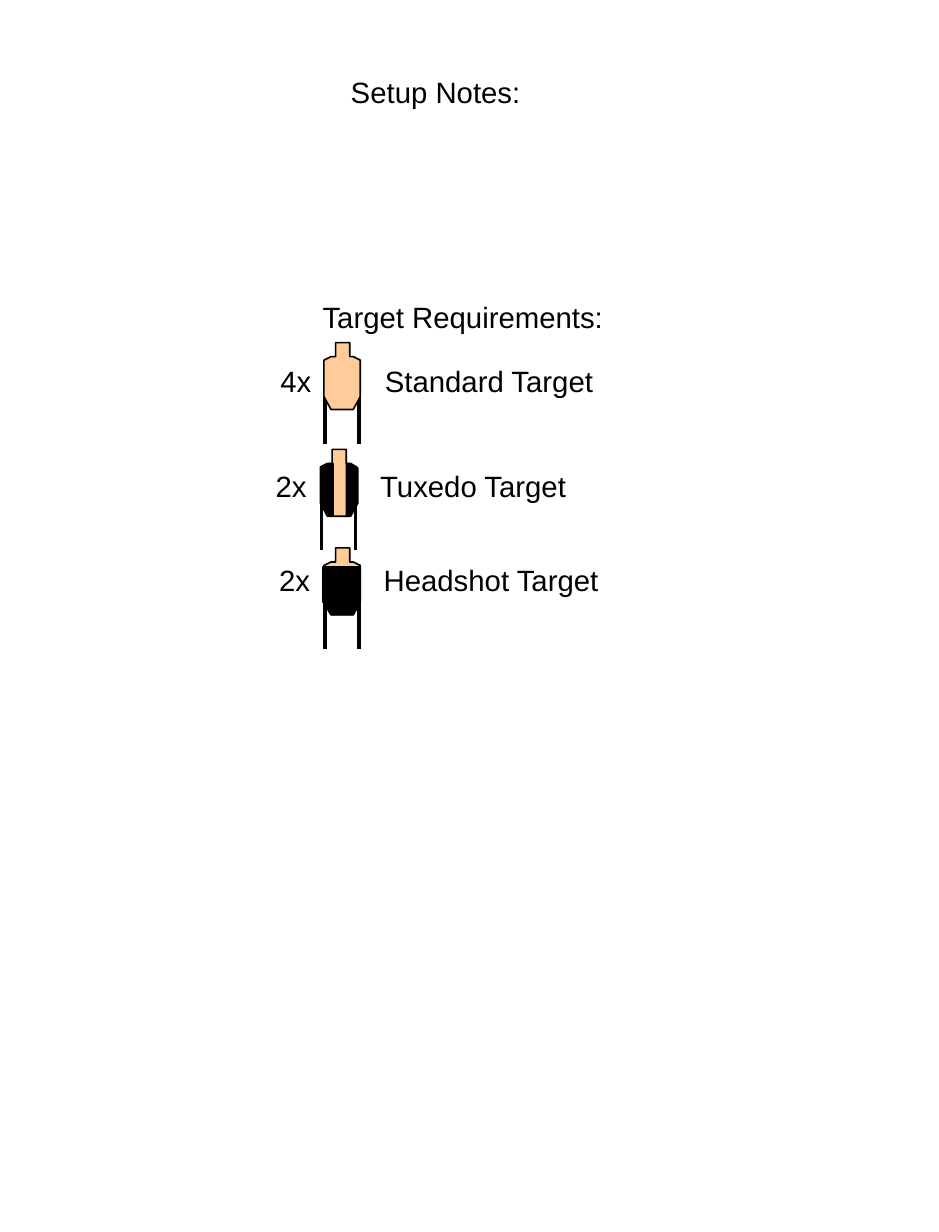
from dataclasses import dataclass

from lxml import etree
from pptx import Presentation
from pptx.dml.color import RGBColor
from pptx.enum.shapes import MSO_CONNECTOR
from pptx.oxml.ns import qn
from pptx.shapes.group import GroupShape
from pptx.slide import Slide
from pptx.util import Inches, Pt

STRAIGHT = MSO_CONNECTOR.STRAIGHT
BLANK_LAYOUT = 6
COLORS = {"ink": "000000", "cardboard": "FFCC99"}
TEXT_FORMAT = {"name": "Arial", "size": Pt(18)}
LABEL_TAB = 0.89

Points = tuple[tuple[float, float], ...]

# Outlines in inches from the top left of a target
SILHOUETTE: Points = (
    (0.1, 0), (0.22, 0), (0.22, 0.12), (0.25, 0.12), (0.31, 0.15), (0.31, 0.46),
    (0.25, 0.57), (0.06, 0.57), (0, 0.46), (0, 0.15), (0.06, 0.12), (0.1, 0.12),
)
BODY_COVER: Points = (
    (-0.01, 0.16), (0.31, 0.16), (0.31, 0.46),
    (0.25, 0.57), (0.06, 0.57), (-0.01, 0.46),
)
LEFT_LAPEL: Points = (
    (0.11, 0.12), (0.11, 0.57), (0.07, 0.57), (0.01, 0.46), (0.01, 0.16), (0.07, 0.12),
)
RIGHT_LAPEL: Points = tuple((round(0.33 - x, 2), y) for x, y in LEFT_LAPEL)
LEG_OFFSETS = (0.01, 0.3)
LEG_TOP, LEG_BOTTOM = 0.42, 0.86


@dataclass(frozen=True)
class Heading:
    text: str
    left: float
    top: float
    width: float


@dataclass(frozen=True)
class Target:
    count: str
    label: str
    left: float
    top: float
    text_left: float
    text_top: float
    text_width: float
    covers: tuple[Points, ...] = ()


HEADINGS = (
    Heading("Setup Notes:", 2.89, 0.58, 1.66),
    Heading("Target Requirements:", 2.65, 2.5, 2.7),
)
TARGETS = (
    Target("4x", "Standard Target", 2.76, 2.92, 2.29, 3.05, 2.89),
    Target("2x", "Tuxedo Target", 2.73, 3.83, 2.25, 3.94, 2.69,
           (RIGHT_LAPEL, LEFT_LAPEL)),
    Target("2x", "Headshot Target", 2.76, 4.67, 2.28, 4.74, 2.95, (BODY_COVER,)),
)


def rgb(color: str) -> RGBColor:
    return RGBColor.from_string(COLORS[color])


def add_text(slide: Slide, text: str, left: float, top: float, width: float,
             tab: float | None = None) -> None:
    box = slide.shapes.add_textbox(Inches(left), Inches(top), Inches(width), Inches(0.4))
    box.text_frame.word_wrap = True
    paragraph = box.text_frame.paragraphs[0]
    if tab is not None:
        tabs = etree.SubElement(paragraph._p.get_or_add_pPr(), qn("a:tabLst"))
        etree.SubElement(tabs, qn("a:tab"), pos=str(Inches(tab)), algn="l")
    run = paragraph.add_run()
    run.text = text
    for attribute, value in TEXT_FORMAT.items():
        setattr(run.font, attribute, value)
    run.font.color.rgb = rgb("ink")


def add_leg(group: GroupShape, x: float, target_top: float) -> None:
    leg = group.shapes.add_connector(
        STRAIGHT, Inches(x), Inches(target_top + LEG_TOP),
        Inches(x), Inches(target_top + LEG_BOTTOM))
    leg.line.color.rgb = rgb("ink")
    leg.line.width = Pt(2.25)
    etree.SubElement(leg._element.spPr, qn("a:effectLst"))


def add_outline(group: GroupShape, points: Points, target: Target,
                fill: str, line_width: float) -> None:
    corners = [(Inches(target.left + x), Inches(target.top + y)) for x, y in points]
    builder = group.shapes.build_freeform(*corners[0])
    builder.add_line_segments(corners[1:], close=True)
    outline = builder.convert_to_shape()
    outline.shadow.inherit = False
    outline.fill.solid()
    outline.fill.fore_color.rgb = rgb(fill)
    outline.line.color.rgb = rgb("ink")
    outline.line.width = Pt(line_width)


def add_target(slide: Slide, target: Target) -> None:
    group = slide.shapes.add_group_shape()
    for offset in LEG_OFFSETS:
        add_leg(group, target.left + offset, target.top)
    add_outline(group, SILHOUETTE, target, "cardboard", 1)
    for cover in target.covers:
        add_outline(group, cover, target, "ink", 0)
    add_text(slide, f"{target.count}\t{target.label}", target.text_left,
             target.text_top, target.text_width, LABEL_TAB)


def main() -> None:
    presentation = Presentation()
    presentation.slide_width = Inches(8)
    presentation.slide_height = Inches(10.5)
    slide = presentation.slides.add_slide(presentation.slide_layouts[BLANK_LAYOUT])

    # Section headings
    for heading in HEADINGS:
        add_text(slide, heading.text, heading.left, heading.top, heading.width)

    # Target list
    for target in TARGETS:
        add_target(slide, target)

    presentation.save("out.pptx")


if __name__ == "__main__":
    main()
